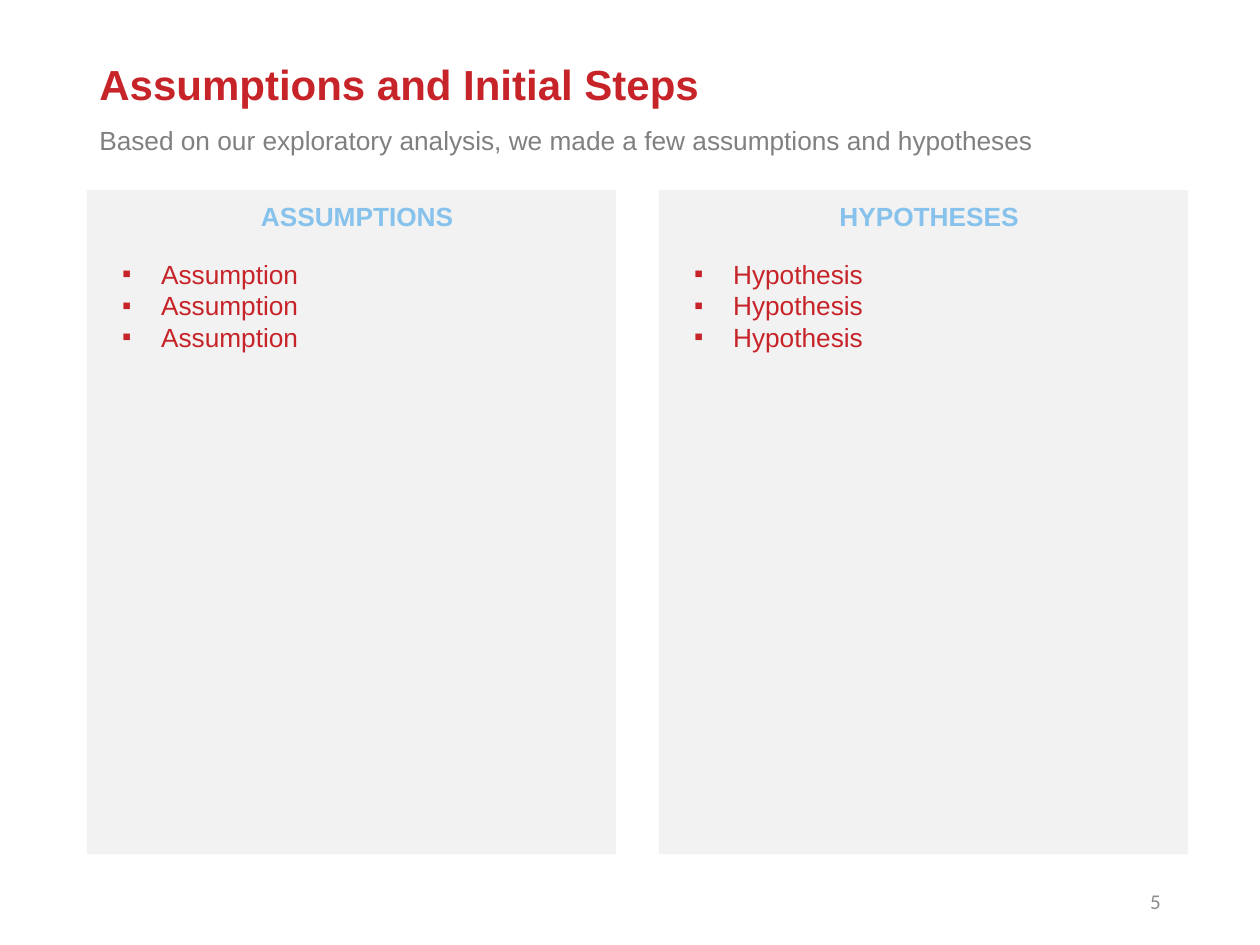
from dataclasses import dataclass

from lxml import etree
from pptx import Presentation
from pptx import util as u
from pptx.dml.color import RGBColor
from pptx.enum import shapes, text
from pptx.oxml import ns

RED, BLUE, GRAY = "C72429", "86C2EC", "808080"
PAGE_NUMBER_GRAY, PANEL_GRAY = "8C8C8C", "F2F2F2"
INDENT = u.Inches(0.31)


@dataclass
class Style:
    size: float
    color: str
    bold: bool = False
    font: str = "Arial"
    align: text.PP_ALIGN = text.PP_ALIGN.LEFT


@dataclass
class Panel:
    left: float
    heading: str
    items: list[str]


BODY = Style(15, RED)
HEADING = Style(15, BLUE, bold=True, align=text.PP_ALIGN.CENTER)
PANELS = [
    Panel(0.69, "ASSUMPTIONS", ["Assumption"] * 3),
    Panel(5.23, "HYPOTHESES", ["Hypothesis"] * 3),
]


def rgb(color: str) -> RGBColor:
    return RGBColor.from_string(color)


def add_text(page, left: float, top: float, width: float, height: float,
             content: str, style: Style, right_inset: float = 0):
    """Add a wrapped text box with one paragraph for each line of content."""
    box = page.shapes.add_textbox(
        u.Inches(left), u.Inches(top), u.Inches(width), u.Inches(height))
    frame = box.text_frame
    frame.word_wrap = True
    frame.margin_right = u.Inches(right_inset)
    frame.text = content
    for para in frame.paragraphs:
        para.alignment = style.align
        for span in para.runs:
            span.font.name = style.font
            span.font.size = u.Pt(style.size)
            span.font.bold = style.bold
            span.font.color.rgb = rgb(style.color)
    return frame


def add_bullet(para) -> None:
    props = para._p.get_or_add_pPr()
    props.set("marL", str(INDENT))
    props.set("indent", str(-INDENT))
    etree.SubElement(props, ns.qn("a:buFont")).set("typeface", "Arial")
    etree.SubElement(props, ns.qn("a:buChar")).set("char", "▪")


def add_panel(page, panel: Panel) -> None:
    card = page.shapes.add_shape(
        shapes.MSO_SHAPE.RECTANGLE, u.Inches(panel.left), u.Inches(1.51),
        u.Inches(4.2), u.Inches(5.27))
    card.shadow.inherit = False
    card.fill.solid()
    card.fill.fore_color.rgb = rgb(PANEL_GRAY)
    card.line.fill.background()
    add_text(page, panel.left + 0.35, 1.54, 3.49, 0.35, panel.heading, HEADING)
    items = add_text(page, panel.left + 0.18, 2, 3.49, 0.86,
                     "\n".join(panel.items), BODY)
    for para in items.paragraphs:
        add_bullet(para)


def main() -> None:
    deck = Presentation()
    deck.slide_width, deck.slide_height = u.Inches(10), u.Inches(7.5)
    page = deck.slides.add_slide(deck.slide_layouts[6])

    title = add_text(page, 0.69, 0.4, 8.62, 0.58, "Assumptions and Initial Steps",
                     Style(24, RED, bold=True), right_inset=0.1)
    title.vertical_anchor = text.MSO_ANCHOR.MIDDLE
    title.paragraphs[0].line_spacing = 0.9
    number = add_text(page, 7.06, 6.95, 2.25, 0.4, "5",
                      Style(12, PAGE_NUMBER_GRAY, font="Calibri",
                            align=text.PP_ALIGN.RIGHT), right_inset=0.1)
    number.vertical_anchor = text.MSO_ANCHOR.MIDDLE
    add_text(page, 0.69, 0.94, 8.26, 0.35,
             "Based on our exploratory analysis, we made a few assumptions and hypotheses",
             Style(15, GRAY))
    for panel in PANELS:
        add_panel(page, panel)

    deck.save("out.pptx")


if __name__ == "__main__":
    main()
